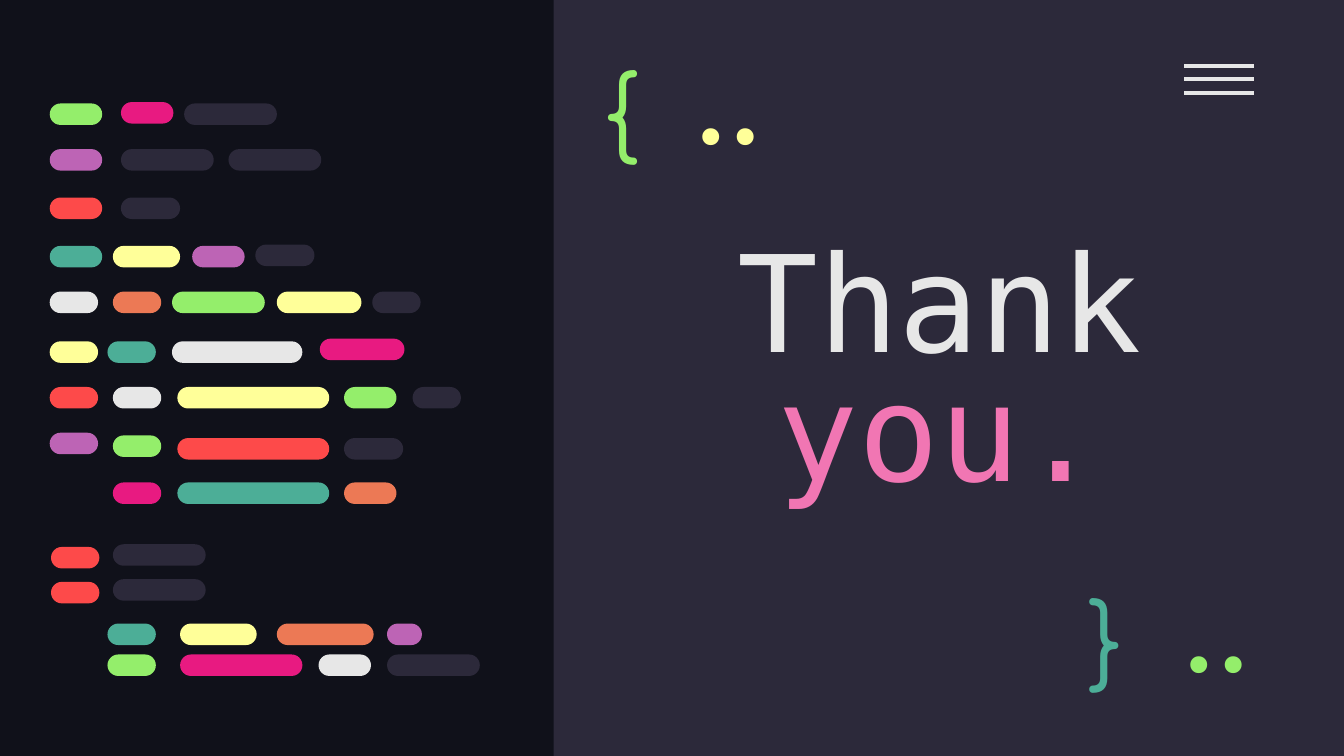
from lxml import etree
from pptx import Presentation
from pptx.dml.color import RGBColor
from pptx.enum.shapes import MSO_CONNECTOR, MSO_SHAPE
from pptx.enum.text import MSO_ANCHOR, MSO_AUTO_SIZE, PP_ALIGN
from pptx.oxml.ns import qn
from pptx.util import Inches, Pt

RECT, PILL = MSO_SHAPE.RECTANGLE, MSO_SHAPE.ROUNDED_RECTANGLE
STRAIGHT = MSO_CONNECTOR.STRAIGHT
TOP, MIDDLE = MSO_ANCHOR.TOP, MSO_ANCHOR.MIDDLE
LEFT, CENTER, RIGHT = PP_ALIGN.LEFT, PP_ALIGN.CENTER, PP_ALIGN.RIGHT
NO_FIT = MSO_AUTO_SIZE.NONE

WIDTH, SPLIT = 10, 4.12
HEIGHT = WIDTH * 9 / 16
BAR_HEIGHT = 0.16
NIGHT, SLATE, WHITE, ROSE = "10111A", "2C293A", "E7E7E7", "F176B3"
GREEN, MAGENTA, PURPLE, RED = "94EE6B", "E81A81", "BD64B5", "FD4A4A"
TEAL, YELLOW, ORANGE = "4CAE97", "FFFF99", "EC7955"

CODE_LINES = [
    (0.77, [(0.37, 0.39, GREEN), (1.37, 0.69, SLATE)]),
    (0.76, [(0.9, 0.39, MAGENTA)]),
    (1.11, [(0.37, 0.39, PURPLE), (0.9, 0.69, SLATE), (1.7, 0.69, SLATE)]),
    (1.47, [(0.37, 0.39, RED), (0.9, 0.44, SLATE)]),
    (1.83, [(0.37, 0.39, TEAL), (0.84, 0.5, YELLOW), (1.43, 0.39, PURPLE)]),
    (1.82, [(1.9, 0.44, SLATE)]),
    (2.17, [(0.37, 0.36, WHITE), (0.84, 0.36, ORANGE), (1.28, 0.69, GREEN),
            (2.06, 0.63, YELLOW), (2.77, 0.36, SLATE)]),
    (2.54, [(0.37, 0.36, YELLOW), (0.8, 0.36, TEAL), (1.28, 0.97, WHITE)]),
    (2.52, [(2.38, 0.63, MAGENTA)]),
    (2.88, [(0.37, 0.36, RED), (0.84, 0.36, WHITE), (1.32, 1.13, YELLOW),
            (2.56, 0.39, GREEN), (3.07, 0.36, SLATE)]),
    (3.22, [(0.37, 0.36, PURPLE)]),
    (3.24, [(0.84, 0.36, GREEN)]),
    (3.26, [(1.32, 1.13, RED), (2.56, 0.44, SLATE)]),
    (3.59, [(0.84, 0.36, MAGENTA), (1.32, 1.13, TEAL), (2.56, 0.39, ORANGE)]),
    (4.05, [(0.84, 0.69, SLATE)]),
    (4.07, [(0.38, 0.36, RED)]),
    (4.31, [(0.84, 0.69, SLATE)]),
    (4.33, [(0.38, 0.36, RED)]),
    (4.64, [(0.8, 0.36, TEAL), (1.34, 0.57, YELLOW), (2.06, 0.72, ORANGE),
            (2.88, 0.26, PURPLE)]),
    (4.87, [(0.8, 0.36, GREEN), (1.34, 0.91, MAGENTA), (2.37, 0.39, WHITE),
            (2.88, 0.69, SLATE)]),
]

SYMBOLS = [
    ("{", (0.27, 0.27, 0.77, 0.95), "Comfortaa", GREEN, LEFT, TOP),
    ("}", (3.88, 4.2, 0.57, 0.83), "Comfortaa", TEAL, LEFT, TOP),
    ("..", (4.39, 4.43, 1.07, 0.6), "Fira Code", GREEN, RIGHT, MIDDLE),
    ("..", (0.76, 0.5, 1.07, 0.6), "Fira Code", YELLOW, RIGHT, MIDDLE),
]


def rgb(value):
    """Return the colour for a hex string."""
    return RGBColor.from_string(value)


def add_block(shapes, kind, box, color):
    """Add a filled shape without outline or shadow."""
    sp = shapes.add_shape(kind, *map(Inches, box))
    sp.shadow.inherit = False
    sp.fill.solid()
    sp.fill.fore_color.rgb = rgb(color)
    sp.line.fill.background()
    return sp


def set_text(sp, runs, font, size, align, anchor, spacing=1):
    """Write one paragraph of coloured runs into a shape."""
    tf = sp.text_frame
    frame = dict(word_wrap=True, auto_size=NO_FIT, vertical_anchor=anchor)
    for side in ("left", "right", "top", "bottom"):
        frame[f"margin_{side}"] = Inches(0.1)
    for name, value in frame.items():
        setattr(tf, name, value)
    p = tf.paragraphs[0]
    p.alignment, p.line_spacing = align, spacing
    for text, color in runs:
        r = p.add_run()
        r.text = text
        for name, value in dict(name=font, size=Pt(size)).items():
            setattr(r.font, name, value)
        r.font.color.rgb = rgb(color)


def add_code(s, left, top):
    """Draw the lines of code as rounded bars."""
    bars = s.shapes.add_group_shape().shapes
    for y, line in CODE_LINES:
        for x, width, color in line:
            box = (left + x, top + y, width, BAR_HEIGHT)
            add_block(bars, PILL, box, color).adjustments[0] = 0.5


def add_menu(s, left, top, width, gap):
    """Draw the three strokes of the menu icon."""
    strokes = s.shapes.add_group_shape().shapes
    for i in range(3):
        y = Inches(top + i * gap)
        line = strokes.add_connector(STRAIGHT, Inches(left), y, Inches(left + width), y)
        line.line.color.rgb = rgb(WHITE)
        line.line.width = Pt(2.25)
        etree.SubElement(line.element.spPr, qn("a:effectLst"))


def add_message(s, left, top, width, height):
    """Fill the right panel with the menu, the title and the symbols."""
    add_block(s.shapes, RECT, (left, top, width, height), SLATE)
    add_menu(s, left + 4.69, top + 0.49, 0.52, 0.1)
    title = s.shapes.title
    title.element.getparent().append(title.element)
    box = dict(left=left + 0.64, top=top + 1.43, width=4.46, height=2.77)
    for name, value in box.items():
        setattr(title, name, Inches(value))
    set_text(title, [("Thank ", WHITE), ("you.", ROSE)], "DejaVu Sans Mono", 72,
             CENTER, MIDDLE, 0.8)
    for text, (x, y, w, h), font, color, align, anchor in SYMBOLS:
        sp = s.shapes.add_textbox(*map(Inches, (left + x, top + y, w, h)))
        set_text(sp, [(text, color)], font, 50, align, anchor)


def main():
    """Build the closing slide and save it."""
    prs = Presentation()
    prs.slide_width, prs.slide_height = Inches(WIDTH), Inches(HEIGHT)
    s = prs.slides.add_slide(prs.slide_layouts[5])
    s.background.fill.solid()
    s.background.fill.fore_color.rgb = rgb(NIGHT)
    add_message(s, SPLIT, 0, WIDTH - SPLIT, HEIGHT)
    add_code(s, 0, 0)
    prs.save("out.pptx")


if __name__ == "__main__":
    main()
